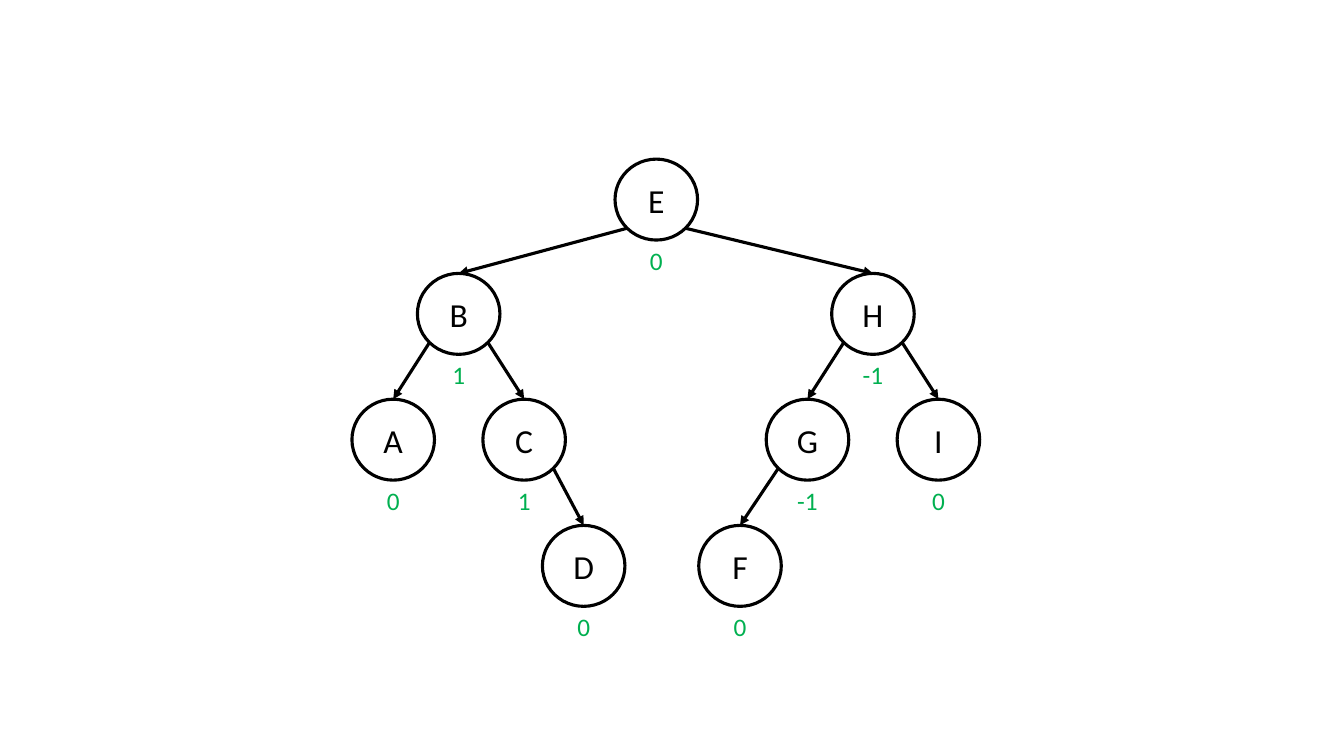
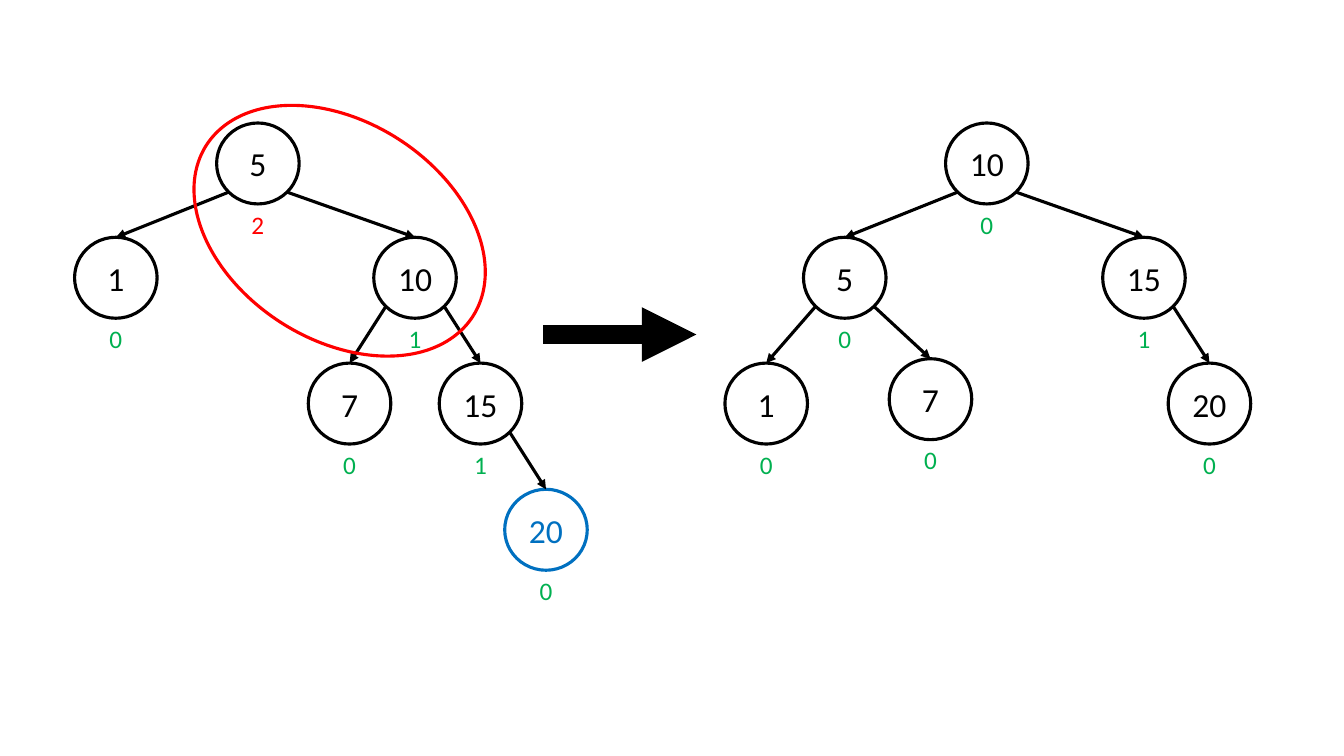
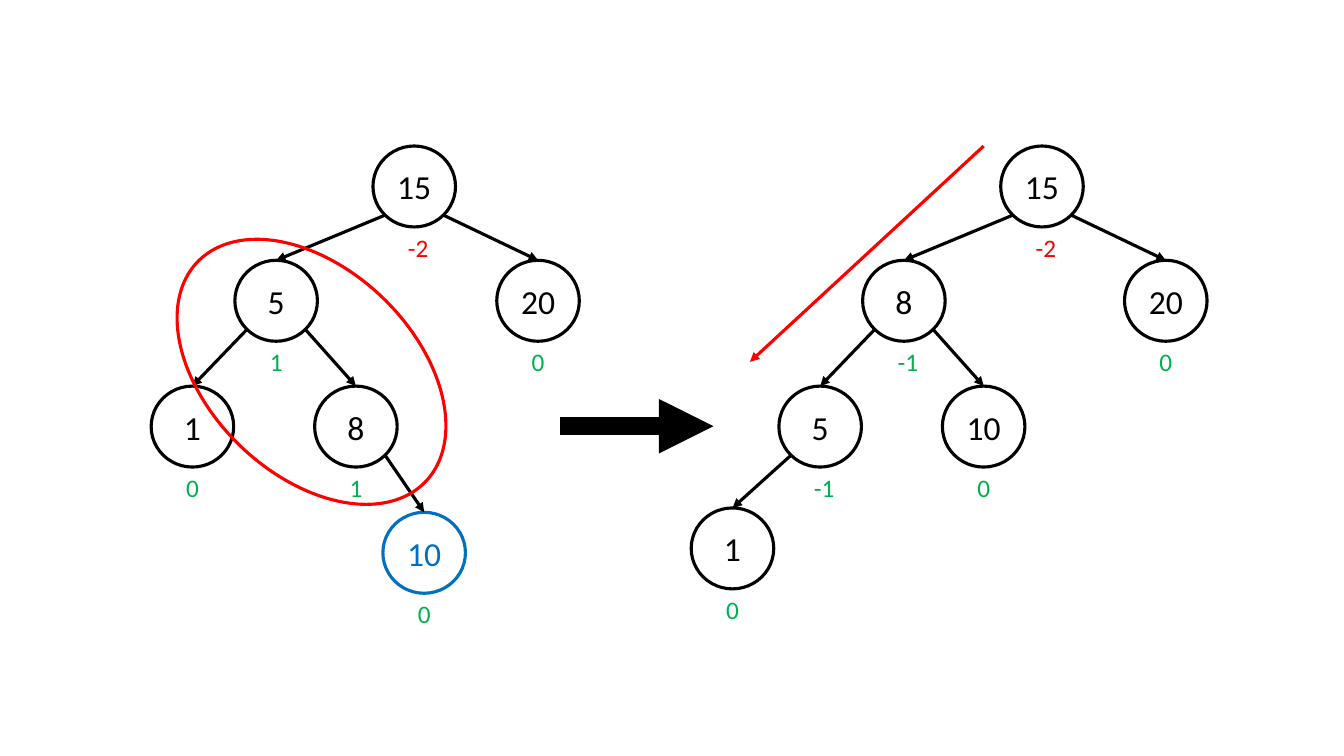
from dataclasses import dataclass
from math import sqrt

from lxml import etree
from pptx import Presentation
from pptx.dml.color import RGBColor
from pptx.enum.shapes import MSO_CONNECTOR, MSO_SHAPE
from pptx.enum.text import MSO_ANCHOR, PP_ALIGN
from pptx.oxml.ns import qn
from pptx.util import Cm, Pt

OVAL = MSO_SHAPE.OVAL
STRAIGHT = MSO_CONNECTOR.STRAIGHT
CENTER = PP_ALIGN.CENTER
MIDDLE = MSO_ANCHOR.MIDDLE


@dataclass
class Theme:
    font: str = "Calibri"
    ink: RGBColor = RGBColor(0x00, 0x00, 0x00)
    balanced: RGBColor = RGBColor(0x00, 0xB0, 0x50)
    alert: RGBColor = RGBColor(0xFF, 0x00, 0x00)
    inserted: RGBColor = RGBColor(0x00, 0x70, 0xC0)
    key_size: Pt = Pt(24)
    balance_size: Pt = Pt(18)
    outline: Pt = Pt(2.25)
    block_arrow: Pt = Pt(13)


THEME = Theme()
NODE_W, NODE_H = 2.08, 2.04
BALANCE_H = 1.02
DIAGONAL = sqrt(0.5) / 2
LEVEL_1, LEVEL_2, LEVEL_3 = 2.88, 6.05, 9.23


def write(frame, text, size, color):
    frame.word_wrap = False
    paragraph = frame.paragraphs[0]
    paragraph.text = text
    paragraph.alignment = CENTER
    paragraph.font.name = THEME.font
    paragraph.font.size = size
    paragraph.font.color.rgb = color


def draw_arrow(slide, start, end, color, width):
    arrow = slide.shapes.add_connector(STRAIGHT, *(Cm(v) for v in (*start, *end)))
    arrow.line.color.rgb = color
    arrow.line.width = width
    etree.SubElement(arrow.line._get_or_add_ln(), qn("a:tailEnd"), type="triangle")
    etree.SubElement(arrow._element.spPr, qn("a:effectLst"))


# Node rows: key, parent key, offset from root across and down, balance factor.
SLIDES = [
    {
        "minus_shift": 0,
        "trees": [
            {
                "root": (16.54, 4.01),
                "inserted": None,
                "nodes": [
                    ("E", None, 0, 0, 0),
                    ("B", "E", -4.98, LEVEL_1, 1),
                    ("H", "E", 5.46, LEVEL_1, -1),
                    ("A", "B", -6.63, LEVEL_2, 0),
                    ("C", "B", -3.33, LEVEL_2, 1),
                    ("G", "H", 3.81, LEVEL_2, -1),
                    ("I", "H", 7.11, LEVEL_2, 0),
                    ("D", "C", -1.83, LEVEL_3, 0),
                    ("F", "G", 2.11, LEVEL_3, 0),
                ],
            },
        ],
        "rotation_rings": [],
        "arrows": [],
    },
    {
        "minus_shift": 0,
        "trees": [
            {
                "root": (6.5, 3.1),
                "inserted": "20",
                "nodes": [
                    ("5", None, 0, 0, 2),
                    ("1", "5", -3.58, LEVEL_1, 0),
                    ("10", "5", 3.96, LEVEL_1, 1),
                    ("7", "10", 2.31, LEVEL_2, 0),
                    ("15", "10", 5.61, LEVEL_2, 1),
                    ("20", "15", 7.26, LEVEL_3, 0),
                ],
            },
            {
                "root": (24.87, 3.1),
                "inserted": None,
                "nodes": [
                    ("10", None, 0, 0, 0),
                    ("5", "10", -3.58, LEVEL_1, 0),
                    ("15", "10", 3.96, LEVEL_1, 1),
                    ("1", "5", -5.56, LEVEL_2, 0),
                    ("7", "5", -1.42, 5.94, 0),
                    ("20", "15", 5.61, LEVEL_2, 0),
                ],
            },
        ],
        "rotation_rings": [(4.57, 3.07, 7.98, 5.49, 32.7)],
        "arrows": [((13.69, 8.43), (17.55, 8.43), THEME.ink, THEME.block_arrow)],
    },
    {
        "minus_shift": 0.1,
        "trees": [
            {
                "root": (10.44, 3.68),
                "inserted": "10",
                "nodes": [
                    ("15", None, 0, 0, -2),
                    ("5", "15", -3.48, LEVEL_1, 1),
                    ("20", "15", 3.12, LEVEL_1, 0),
                    ("1", "5", -5.59, LEVEL_2, 0),
                    ("8", "5", -1.47, LEVEL_2, 1),
                    ("10", "8", 0.25, LEVEL_3, 0),
                ],
            },
            {
                "root": (26.26, 3.68),
                "inserted": None,
                "nodes": [
                    ("15", None, 0, 0, -2),
                    ("8", "15", -3.48, LEVEL_1, -1),
                    ("20", "15", 3.12, LEVEL_1, 0),
                    ("5", "8", -5.59, LEVEL_2, -1),
                    ("10", "8", -1.47, LEVEL_2, 0),
                    ("1", "5", -7.8, 9.12, 0),
                ],
            },
        ],
        "rotation_rings": [(3.86, 6.78, 7.98, 5.18, 44)],
        "arrows": [
            ((14.12, 10.74), (17.98, 10.74), THEME.ink, THEME.block_arrow),
            ((24.79, 3.68), (18.9, 9.12), THEME.alert, THEME.outline),
        ],
    },
]

deck = Presentation()
deck.slide_width, deck.slide_height = Cm(33.87), Cm(19.05)

for content in SLIDES:
    slide = deck.slides.add_slide(deck.slide_layouts[6])

    for tree in content["trees"]:
        root_x, root_y = tree["root"]
        places = {}
        for key, parent, across, down, balance in tree["nodes"]:
            center, top = root_x + across, root_y + down
            left = center - NODE_W / 2
            places[key] = (center, top)

            color = THEME.inserted if key == tree["inserted"] else THEME.ink
            node = slide.shapes.add_shape(OVAL, Cm(left), Cm(top), Cm(NODE_W), Cm(NODE_H))
            node.shadow.inherit = False
            node.fill.background()
            node.line.color.rgb = color
            node.line.width = THEME.outline
            node.text_frame.vertical_anchor = MIDDLE
            write(node.text_frame, key, THEME.key_size, color)

            shift = content["minus_shift"] if balance < 0 else 0
            factor = slide.shapes.add_textbox(
                Cm(left + shift), Cm(top + NODE_H), Cm(NODE_W), Cm(BALANCE_H))
            factor_color = THEME.alert if abs(balance) > 1 else THEME.balanced
            write(factor.text_frame, str(balance), THEME.balance_size, factor_color)

            if parent:
                parent_x, parent_y = places[parent]
                side = 1 if center > parent_x else -1
                start = (parent_x + side * DIAGONAL * NODE_W,
                         parent_y + (0.5 + DIAGONAL) * NODE_H)
                draw_arrow(slide, start, (center, top), THEME.ink, THEME.outline)

    for *box, angle in content["rotation_rings"]:
        ring = slide.shapes.add_shape(OVAL, *(Cm(v) for v in box))
        ring.rotation = angle
        ring.shadow.inherit = False
        ring.fill.background()
        ring.line.color.rgb = THEME.alert
        ring.line.width = THEME.outline

    for arrow in content["arrows"]:
        draw_arrow(slide, *arrow)

deck.save("out.pptx")
